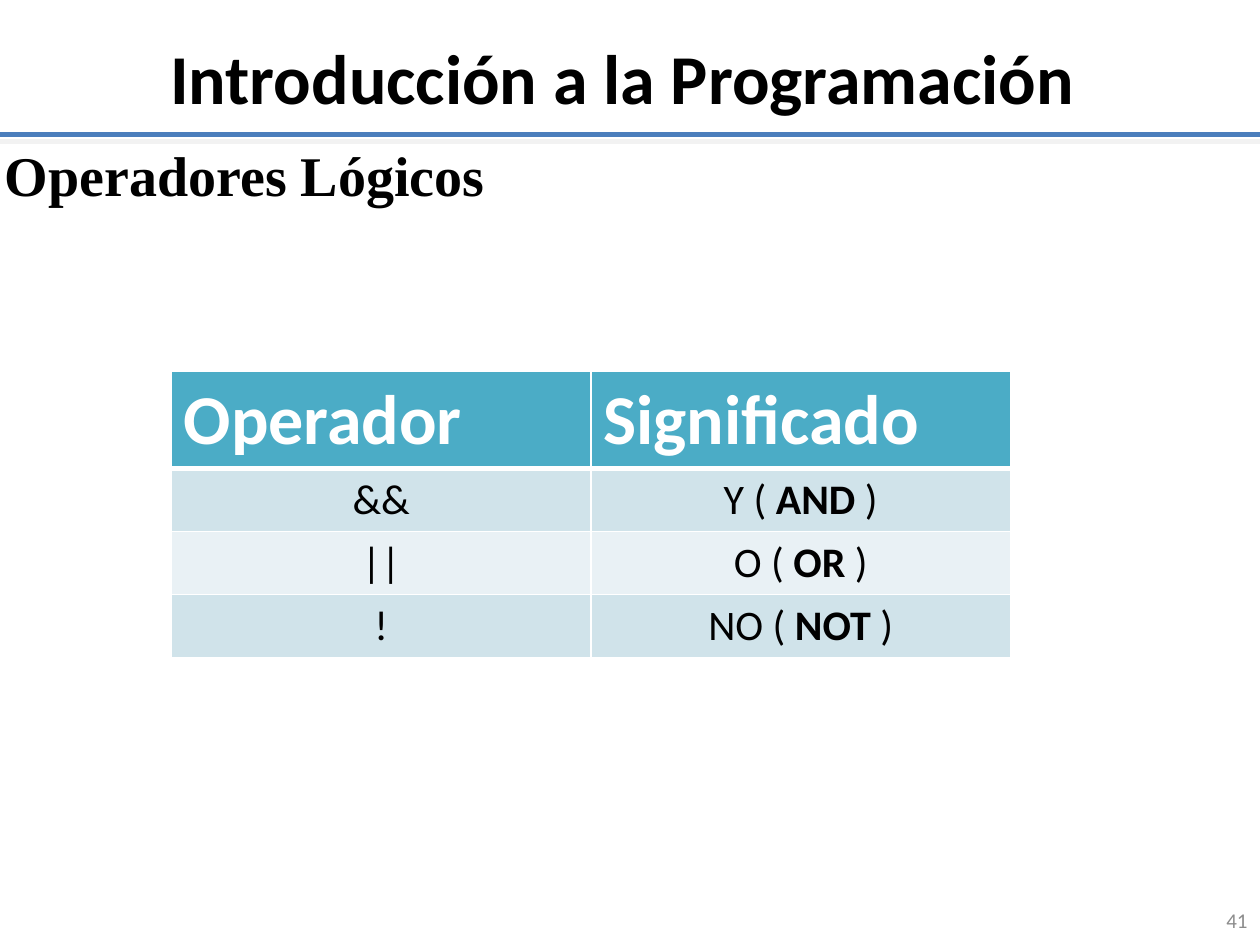
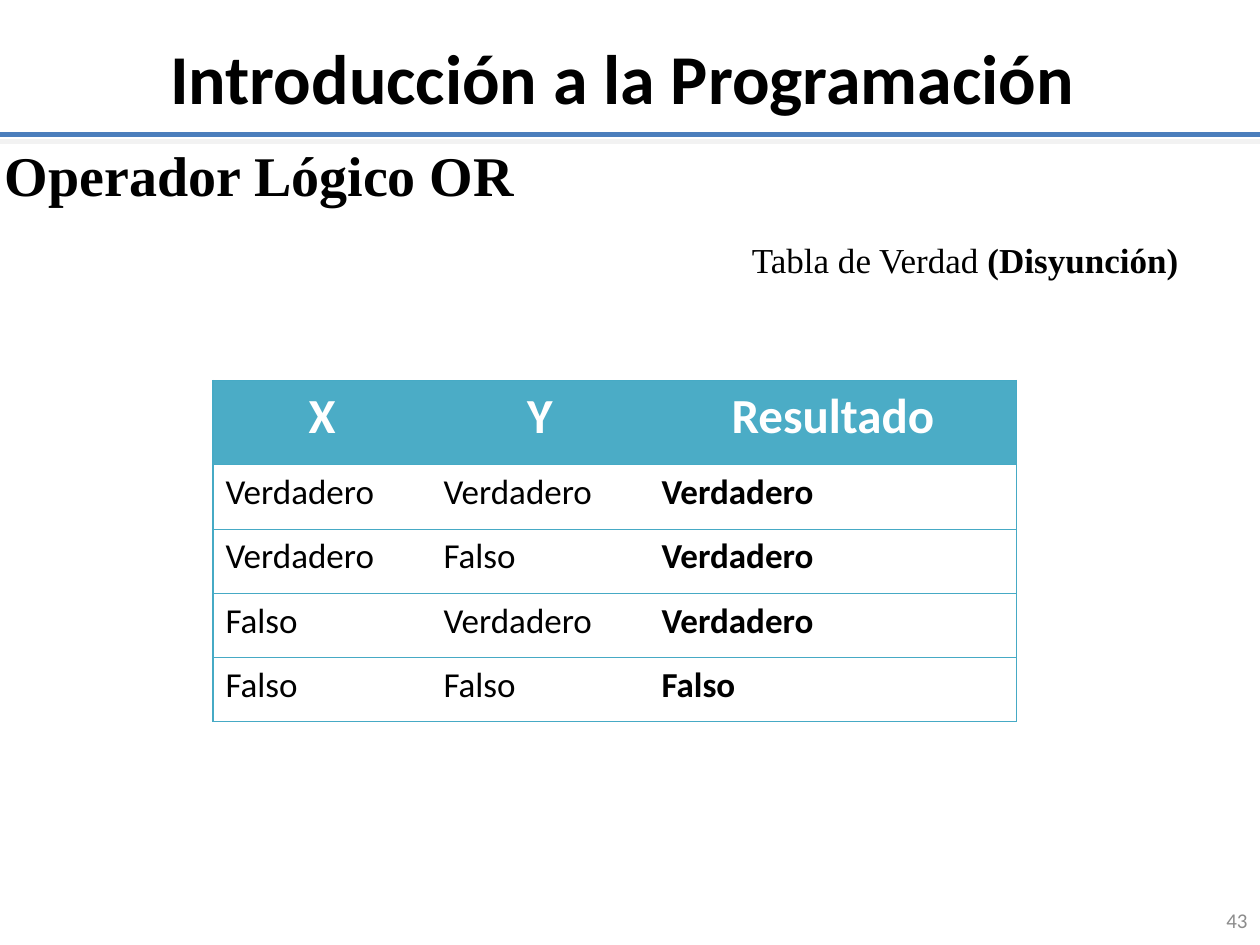
import pptx
import pptx.util
import pptx.dml.color
import pptx.enum.shapes
import pptx.enum.text
import pptx.oxml
import pptx.oxml.ns

Inches, Pt = pptx.util.Inches, pptx.util.Pt
ALIGN = pptx.enum.text.PP_ALIGN
ANCHOR = pptx.enum.text.MSO_ANCHOR
AUTO = pptx.enum.text.MSO_AUTO_SIZE

# Content: a text is a list of (words, bold) spans
COURSE = "Introducción a la Programación "


def meaning(word, operator):
    return [(word + " ( ", False), (operator, True), (" )", False)]


def truth(x, y, result):
    return [[(x, False)], [(y, False)], [(result, True)]]


SLIDES = [
    dict(
        number="41", heading="Operadores Lógicos", caption=None,
        table=dict(
            left=1.36, top=2.95, columns=[3.33, 3.33], rows=[0.76] + [0.5] * 3,
            header=["Operador", "Significado"],
            body=[
                [[("&&", False)], meaning("Y", "AND")],
                [[("||", False)], meaning("O", "OR")],
                [[("!", False)], meaning("NO", "NOT")],
            ],
            header_size=40, header_align=ALIGN.LEFT,
            body_size=24, body_align=ALIGN.CENTER,
            bands=["band", "pale"], line="white", line_width=1,
            header_line=3, inner_columns=True,
        ),
    ),
    dict(
        number="43", heading="Operador Lógico OR",
        caption=[("Tabla de Verdad ", False), ("(Disyunción) ", True)],
        table=dict(
            left=1.69, top=3.02, columns=[1.73, 1.73, 2.92], rows=[0.67] + [0.51] * 4,
            header=["X", "Y", "Resultado"],
            body=[
                truth("Verdadero", "Verdadero", "Verdadero"),
                truth("Verdadero", "Falso", "Verdadero"),
                truth("Falso", "Verdadero", "Verdadero"),
                truth("Falso", "Falso", "Falso"),
            ],
            header_size=28, header_align=ALIGN.CENTER,
            body_size=20, body_align=ALIGN.LEFT,
            bands=["white"], line="teal_line", line_width=0.75,
            header_line=0.75, inner_columns=False,
        ),
    ),
]

# Shared style
COLORS = dict(
    black="000000", white="FFFFFF", grey="8C8C8C", rule="4B7EBC", shadow="F2F2F2",
    teal="4BACC6", teal_line="46AAC5", band="D0E3EA", pale="E9F1F5",
)
SANS, SERIF = "Calibri", "Times New Roman"
WIDTH, HEIGHT = 10, 7.5
RULE_TOP = 1.07


def rgb(name):
    return pptx.dml.color.RGBColor.from_string(COLORS[name])


def write(frame, spans, size, font=SANS, color="black", align=ALIGN.LEFT):
    para = frame.paragraphs[0]
    para.alignment = align
    for words, bold in spans:
        span = para.add_run()
        span.text = words
        span.font.name, span.font.size = font, Pt(size)
        span.font.bold, span.font.color.rgb = bold, rgb(color)


def add_text(page, place, spans, size, anchor=ANCHOR.TOP, auto=AUTO.SHAPE_TO_FIT_TEXT, **style):
    box = page.shapes.add_textbox(*map(Inches, place))
    frame = box.text_frame
    frame.word_wrap, frame.auto_size, frame.vertical_anchor = True, auto, anchor
    write(frame, spans, size, **style)


def add_rule(page):
    y = Inches(RULE_TOP)
    rule = page.shapes.add_connector(
        pptx.enum.shapes.MSO_CONNECTOR.STRAIGHT, 0, y, Inches(WIDTH), y)
    rule.line.color.rgb, rule.line.width = rgb("rule"), Pt(3)
    rule._element.spPr.append(pptx.oxml.parse_xml(
        f'<a:effectLst {pptx.oxml.ns.nsdecls("a")}>'
        f'<a:outerShdw blurRad="0" dist="{Pt(4)}" dir="{94 * 60000}" rotWithShape="0">'
        f'<a:srgbClr val="{COLORS["shadow"]}"/></a:outerShdw></a:effectLst>'))


def set_borders(cell, color, widths):
    """Widths are given by side; a width of 0 leaves that side without a line."""
    for side in "LRTB":
        width = widths[side]
        paint = (f'<a:solidFill><a:srgbClr val="{COLORS[color]}"/></a:solidFill>'
                 if width else "<a:noFill/>")
        cell._tc.get_or_add_tcPr().append(pptx.oxml.parse_xml(
            f'<a:ln{side} {pptx.oxml.ns.nsdecls("a")} w="{Pt(width)}">{paint}</a:ln{side}>'))


def add_table(page, data):
    columns, rows = data["columns"], data["rows"]
    table = page.shapes.add_table(
        len(rows), len(columns), Inches(data["left"]), Inches(data["top"]),
        Inches(sum(columns)), Inches(sum(rows))).table
    table.horz_banding = False
    for column, width in zip(table.columns, columns):
        column.width = Inches(width)
    for row, height in zip(table.rows, rows):
        row.height = Inches(height)

    contents = [[[(name, True)] for name in data["header"]]] + data["body"]
    line, inner = data["line_width"], data["line_width"] * data["inner_columns"]
    for r, row in enumerate(contents):
        for c, spans in enumerate(row):
            cell = table.cell(r, c)
            set_borders(cell, data["line"], dict(
                L=line if c == 0 else inner,
                R=line if c == len(columns) - 1 else inner,
                T=data["header_line"] if r == 1 else line,
                B=data["header_line"] if r == 0 else line))
            part = "header" if r == 0 else "body"
            fill = "teal" if r == 0 else data["bands"][(r - 1) % len(data["bands"])]
            cell.fill.solid()
            cell.fill.fore_color.rgb = rgb(fill)
            write(cell.text_frame, spans, data[part + "_size"],
                  color="white" if r == 0 else "black", align=data[part + "_align"])


def add_page(deck, content):
    page = deck.slides.add_slide(deck.slide_layouts[5])

    # Rule, title and number
    add_rule(page)
    title = page.shapes.title
    title.left, title.top, title.width, title.height = map(Inches, (0, -0.02, WIDTH, 1.25))
    title.text_frame.vertical_anchor = ANCHOR.MIDDLE
    title.text_frame.auto_size = AUTO.NONE
    write(title.text_frame, [(COURSE, True)], 40, align=ALIGN.CENTER)
    add_text(page, (7.67, HEIGHT - 0.4, 2.33, 0.4), [(content["number"], False)], 12,
             anchor=ANCHOR.MIDDLE, auto=AUTO.NONE, color="grey", align=ALIGN.RIGHT)

    # Heading, table and caption
    add_text(page, (-0.06, RULE_TOP, 9.51, 0.64), [(content["heading"], True)], 32,
             font=SERIF, align=ALIGN.JUSTIFY)
    add_table(page, content["table"])
    if content["caption"]:
        add_text(page, (5.87, 1.84, 4.13, 0.44), content["caption"], 20,
                 font=SERIF, align=ALIGN.JUSTIFY)


def main():
    deck = pptx.Presentation()
    deck.slide_width, deck.slide_height = Inches(WIDTH), Inches(HEIGHT)
    for content in SLIDES:
        add_page(deck, content)
    deck.save("out.pptx")


if __name__ == "__main__":
    main()
